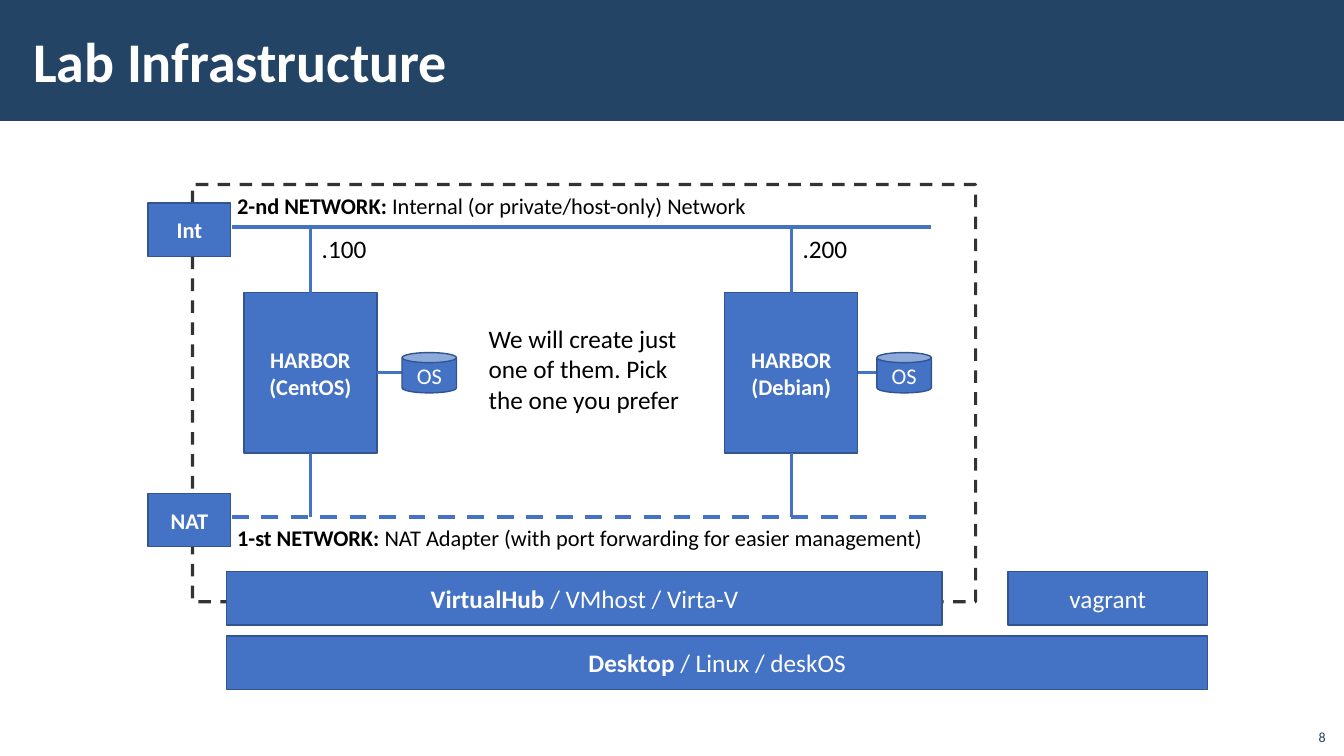
from dataclasses import dataclass

from lxml.etree import SubElement
from pptx import Presentation
from pptx.dml.color import RGBColor
from pptx.enum.dml import MSO_LINE
from pptx.enum.shapes import MSO_CONNECTOR, MSO_SHAPE
from pptx.enum.text import MSO_ANCHOR, MSO_AUTO_SIZE, PP_ALIGN
from pptx.oxml.ns import qn
from pptx.util import Pt


@dataclass(frozen=True)
class Theme:
    font: str = "Calibri"
    navy: RGBColor = RGBColor(0x23, 0x44, 0x65)
    blue: RGBColor = RGBColor(0x44, 0x72, 0xC4)
    edge: RGBColor = RGBColor(0x32, 0x54, 0x91)
    white: RGBColor = RGBColor(0xFF, 0xFF, 0xFF)
    black: RGBColor = RGBColor(0, 0, 0)
    head: int = 40
    body: int = 18
    small: int = 16
    page: int = 10


THEME = Theme()


def style(item, **values):
    for name, value in values.items():
        setattr(item, name, value)


def write(frame, paras, size, color, align=PP_ALIGN.LEFT, **look):
    """Fill a text frame; each paragraph is a list of (words, bold) runs."""
    style(frame, **{"word_wrap": True, **look})
    for i, runs in enumerate(paras):
        para = frame.add_paragraph() if i else frame.paragraphs[0]
        para.alignment = align
        for words, bold in runs:
            run = para.add_run()
            run.text = words
            style(run.font, name=THEME.font, size=Pt(size), bold=bold)
            run.font.color.rgb = color


def block(slide, box, paras=(), size=THEME.body, kind=MSO_SHAPE.RECTANGLE):
    """Add a blue shape with centred white text."""
    shape = slide.shapes.add_shape(kind, *map(Pt, box))
    shape.shadow.inherit = False
    shape.fill.solid()
    shape.fill.fore_color.rgb = THEME.blue
    shape.line.color.rgb = THEME.edge
    shape.line.width = Pt(1)
    write(shape.text_frame, paras, size, THEME.white, PP_ALIGN.CENTER,
          vertical_anchor=MSO_ANCHOR.MIDDLE)
    return shape


def label(slide, box, runs, size=THEME.body, wrap=False):
    note = slide.shapes.add_textbox(*map(Pt, box))
    write(note.text_frame, [runs], size, THEME.black, word_wrap=wrap,
          auto_size=MSO_AUTO_SIZE.SHAPE_TO_FIT_TEXT)


def wire(slide, start, end, width=2.25, dash=None):
    line = slide.shapes.add_connector(MSO_CONNECTOR.STRAIGHT,
                                      *map(Pt, (*start, *end)))
    line.line.color.rgb = THEME.blue
    style(line.line, width=Pt(width), dash_style=dash)
    SubElement(line.element.spPr, qn("a:effectLst"))
    return line


def header(slide, box, words):
    left, top, width, height = box
    bar = block(slide, box)
    bar.fill.fore_color.rgb = THEME.navy
    bar.line.fill.background()
    title = slide.shapes.title
    title.element.addprevious(bar.element)
    style(title, left=Pt(left + 15), top=Pt(top + 8),
          width=Pt(765), height=Pt(height - 16.4))
    write(title.text_frame, [[(words, True)]], THEME.head, THEME.white,
          vertical_anchor=MSO_ANCHOR.MIDDLE, auto_size=MSO_AUTO_SIZE.NONE,
          margin_left=Pt(8.64), margin_right=Pt(8.64),
          margin_top=Pt(2.88), margin_bottom=Pt(2.88))


def border(slide, box):
    """Outline the virtual machine with a see-through dashed line."""
    shape = block(slide, box)
    shape.fill.background()
    shape.line.color.rgb = THEME.black
    style(shape.line, width=Pt(2.25), dash_style=MSO_LINE.DASH)
    tint = shape.element.spPr.find(".//" + qn("a:srgbClr"))
    SubElement(tint, qn("a:alpha"), val="80000")


def network(slide, box, port, runs, lift, dash=None):
    """Draw a bus along the top of the box, with its port and caption."""
    left, top, width, height = box
    wire(slide, (left, top), (left + width, top), 3, dash)
    block(slide, (left - 59.8, top - 17, 59, 38.2), [[(port, True)]],
          THEME.small)
    label(slide, (left - 3.3, top + lift, width + 10, height), runs,
          THEME.small)


def host(slide, box, system, address, buses, gap):
    """Draw a machine, its links to both buses, its disk and its address."""
    left, top, width, height = box
    right, mid, axis = left + width, left + width / 2, top + height / 2
    upper, lower = buses
    machine = block(slide, box, [[("HARBOR", True)], [(system, True)]],
                    THEME.small)
    disk = right + gap
    links = (((mid, top), (mid, upper), 0),
             ((mid, top + height), (mid, lower), 2),
             ((right, axis), (disk, axis), 3))
    for start, end, side in links:
        wire(slide, start, end).begin_connect(machine, side)
    block(slide, (disk, axis - 14.4, 38.9, 28.8), [[("OS", False)]],
          THEME.small, MSO_SHAPE.CAN)
    label(slide, (mid + 1, upper + 1.4, 46.8, 28.8), [(address, False)])


def stack(slide, box):
    """Draw the two software layers under the machine."""
    left, top, width, height = box
    high = 38.2
    layers = (
        (0, 0, 511, [("VirtualHub", True), (" / VMhost / Virta-V", False)]),
        (558, 0, width - 558, [("vagrant", False)]),
        (0, height - high, width,
         [("Desktop", True), (" / Linux / deskOS", False)]),
    )
    for x, y, wide, runs in layers:
        block(slide, (left + x, top + y, wide, high), [runs])


def footer(slide, box, number):
    note = slide.shapes.add_textbox(*map(Pt, box))
    write(note.text_frame, [[(number, False)]], THEME.page, THEME.navy,
          PP_ALIGN.RIGHT, vertical_anchor=MSO_ANCHOR.BOTTOM)


def main():
    deck = Presentation()
    style(deck, slide_width=Pt(960), slide_height=Pt(540))
    slide = deck.slides.add_slide(deck.slide_layouts[5])
    header(slide, (0, 0, 960, 86.4), "Lab Infrastructure")
    border(slide, (137.5, 131.8, 559.4, 298))
    stack(slide, (162, 408.2, 700.6, 84.4))

    buses = inner, outer = 162, 369.4
    hosts = ((174.2, "(CentOS)", ".100", 18),
             (517.7, "(Debian)", ".200", 13.7))
    for left, system, address, gap in hosts:
        host(slide, (left, 209, 95, 114.5), system, address, buses, gap)
    network(slide, (165.6, inner, 499.7, 26.6), "Int",
            [("2-nd NETWORK: ", True),
             ("Internal (or private/host-only) Network", False)], -28)
    network(slide, (165.6, outer, 499.7, 26.6), "NAT",
            [("1-st NETWORK: ", True),
             ("NAT Adapter (with port forwarding for easier management)",
              False)], 1.4, MSO_LINE.DASH)
    label(slide, (342, 227.5, 160, 72.7),
          [("We will create just one of them. Pick the one you prefer",
            False)], wrap=True)
    footer(slide, (925.2, 512.6, 28.8, 23), "8")
    deck.save("out.pptx")


if __name__ == "__main__":
    main()
